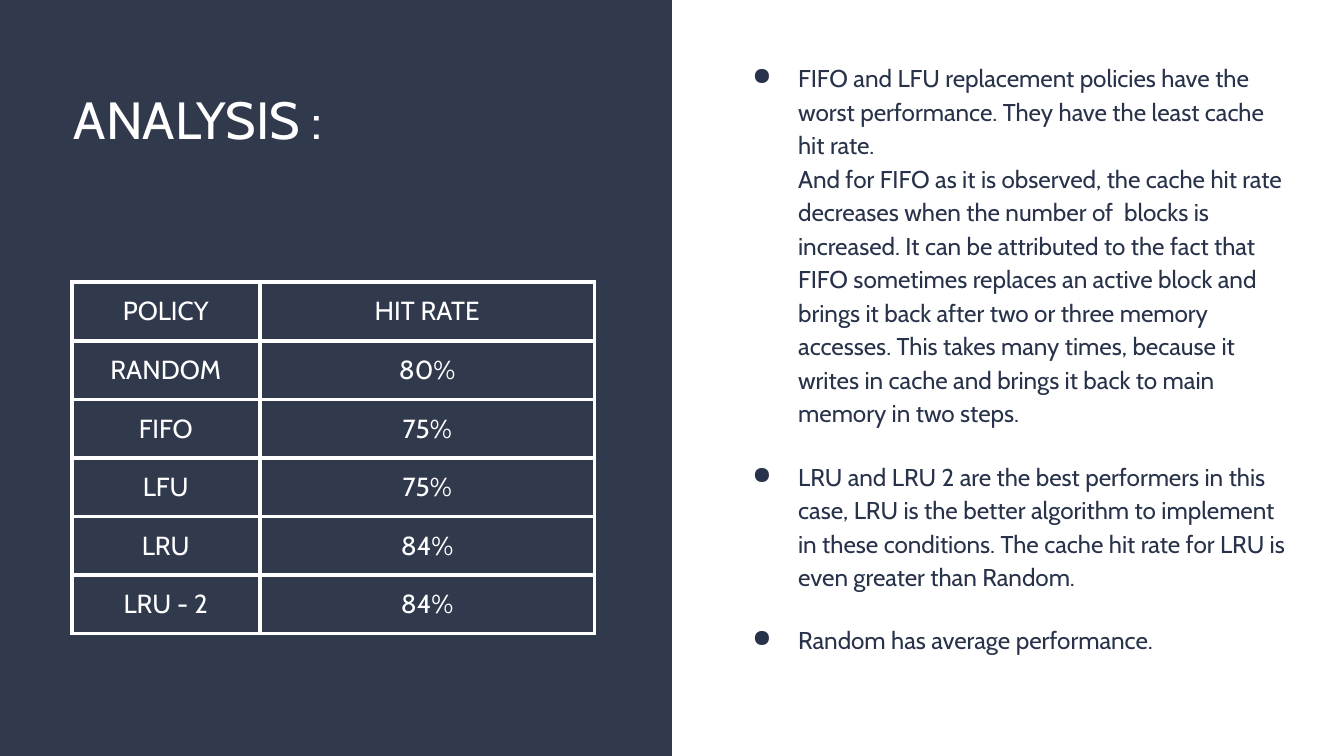
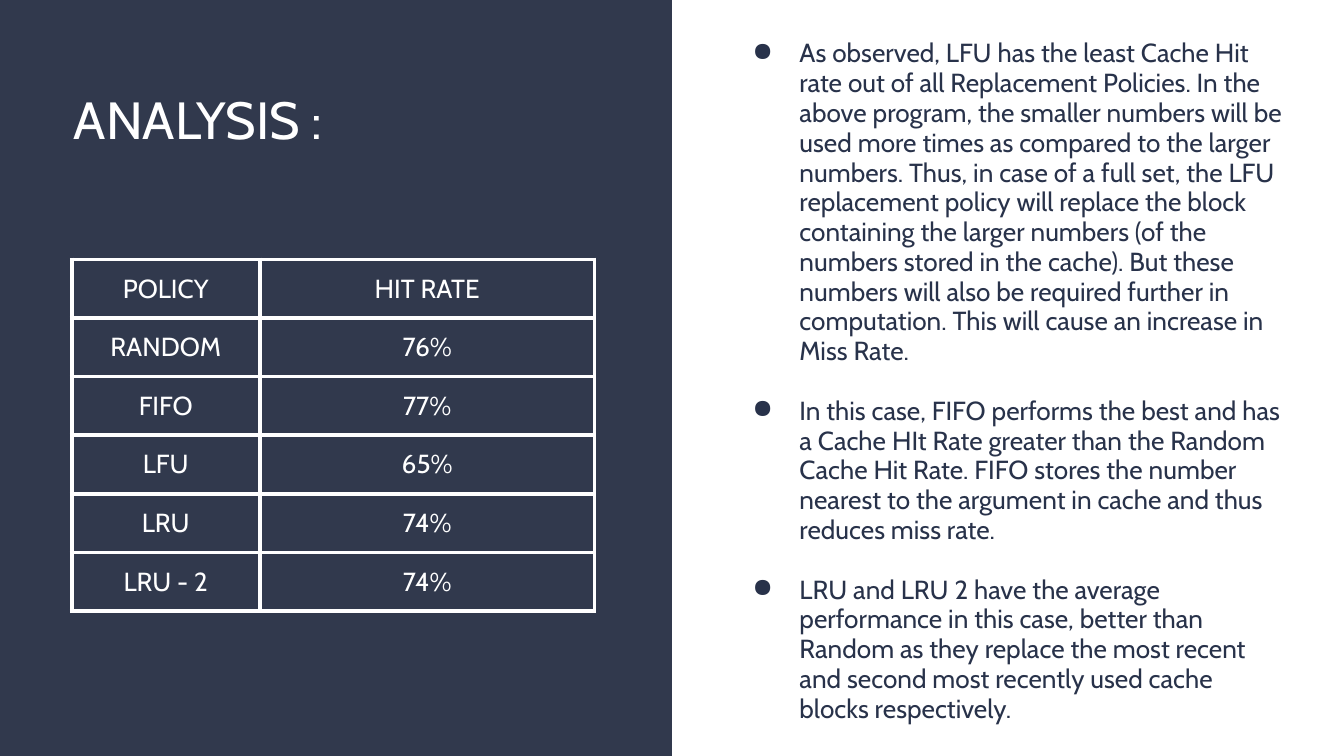
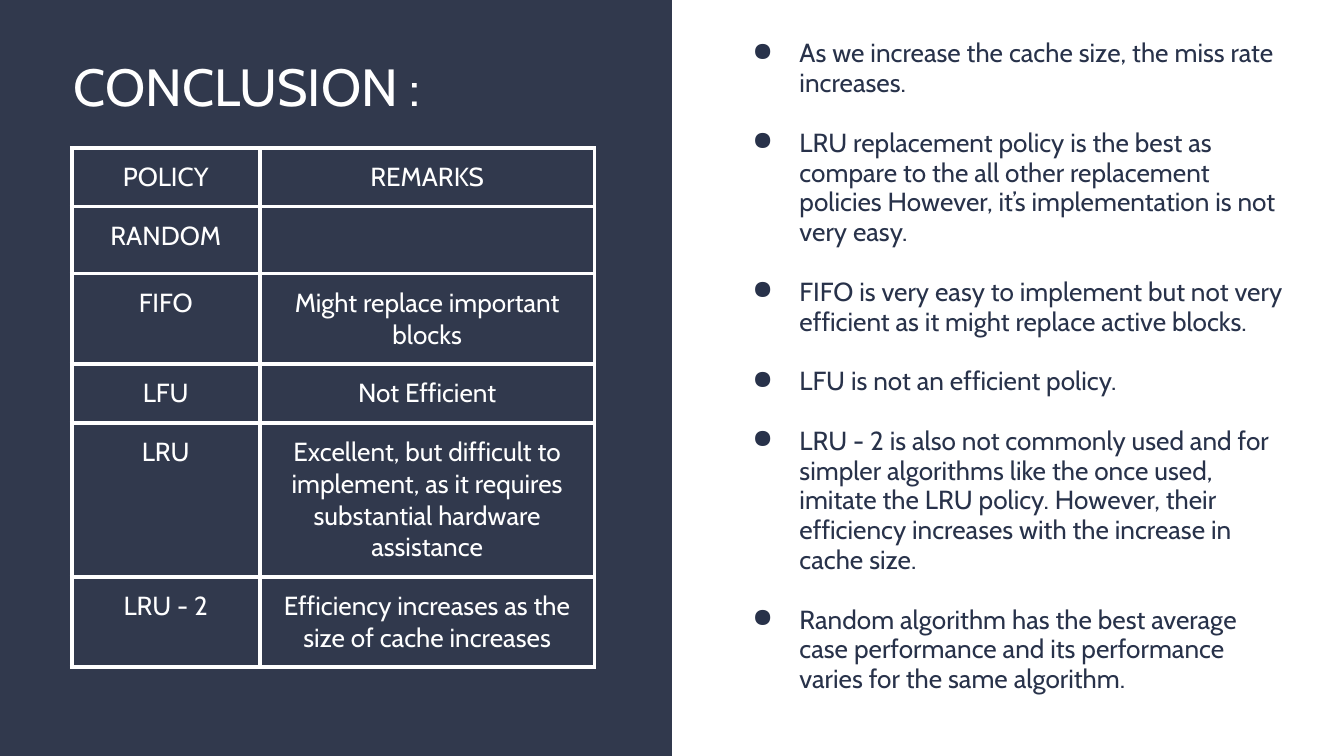
from dataclasses import dataclass

from lxml.etree import SubElement as Sub
from pptx import Presentation
from pptx.dml.color import RGBColor as RGB
from pptx.enum.shapes import MSO_SHAPE as Geo
from pptx.enum.text import MSO_ANCHOR as Anchor, MSO_AUTO_SIZE as Fit, PP_ALIGN as Align
from pptx.oxml import parse_xml
from pptx.oxml.ns import nsdecls, qn
from pptx.util import Pt


@dataclass
class Theme:
    face: str = "Cabin"
    navy: str = "31394D"
    ink: str = "28324A"
    white: str = "FFFFFF"
    head: float = 28
    cell: float = 14
    pad: float = 7.2
    edge: float = 2.25
    row: float = 31.4
    gap: float = 16


look = Theme()


def style(para, size, tint):
    for run in para.runs:
        run.font.name = look.face
        run.font.size = Pt(size)
        run.font.color.rgb = RGB.from_string(tint)


def inset(box):
    """Set equal margins on a text frame or a table cell."""
    box.margin_left = box.margin_right = Pt(look.pad)
    box.margin_top = box.margin_bottom = Pt(look.pad)


names = ["RANDOM", "FIFO", "LFU", "LRU", "LRU - 2"]
even = [look.row] * 6

pages = [
    dict(
        title="ANALYSIS :", title_top=39.6, title_high=197.3,
        table_top=151.2, rows=even, column="HIT RATE",
        values=["80%", "75%", "75%", "84%", "84%"],
        left=384.5, top=24.5, high=356.4, size=13, lead=1.15, hang=24.5,
        points=[
            "FIFO and LFU replacement policies have the worst performance. They have "
            "the least cache hit rate. \nAnd for FIFO as it is observed, the cache hit "
            "rate decreases when the number of  blocks is increased. It can be "
            "attributed to the fact that FIFO sometimes replaces an active block and "
            "brings it back after two or three memory accesses. This takes many times, "
            "because it writes in cache and brings it back to main memory in two steps.",
            "LRU and LRU 2 are the best performers in this case, LRU is the better "
            "algorithm to implement in these conditions. The cache hit rate for LRU is "
            "even greater than Random.",
            "Random has average performance.",
        ],
    ),
    dict(
        title="ANALYSIS :", title_top=39.6, title_high=55.4,
        table_top=139, rows=even, column="HIT RATE",
        values=["76%", "77%", "65%", "74%", "74%"],
        left=385.2, top=13.7, high=353.5, size=14, lead=0.95, hang=25.2,
        points=[
            "As observed, LFU has the least Cache Hit rate out of all Replacement "
            "Policies. In the above program, the smaller numbers will be used more "
            "times as compared to the larger numbers. Thus, in case of a full set, the "
            "LFU replacement policy will replace the block containing the larger "
            "numbers (of the numbers stored in the cache). But these numbers will also "
            "be required further in computation. This will cause an increase in Miss "
            "Rate.",
            "In this case, FIFO performs the best and has a Cache HIt Rate greater than "
            "the Random Cache Hit Rate. FIFO stores the number nearest to the argument "
            "in cache and thus reduces miss rate.",
            "LRU and LRU 2 have the average performance in this case, better than "
            "Random as they replace the most recent and second most recently used "
            "cache blocks respectively.",
        ],
    ),
    dict(
        title="CONCLUSION :", title_top=21.6, title_high=55.4,
        table_top=79.2, rows=[look.row, 34.5, 48.5, look.row, 82.5, 48.5],
        column="REMARKS",
        values=[
            "",
            "Might replace important blocks",
            "Not Efficient",
            "Excellent, but difficult to implement, as it requires substantial "
            "hardware assistance",
            "Efficiency increases as the size of cache increases",
        ],
        left=385.2, top=13.7, high=353.5, size=14, lead=0.95, hang=25.2,
        points=[
            "As we increase the cache size, the miss rate increases.",
            "LRU replacement policy is the best as compare to the all other "
            "replacement policies However, it’s implementation is not very easy.",
            "FIFO is very easy to implement but not very efficient as it might replace "
            "active blocks.",
            "LFU is not an efficient policy.",
            "LRU - 2 is also not commonly used and for simpler algorithms like the once "
            "used, imitate the LRU policy. However, their efficiency increases with "
            "the increase in cache size.",
            "Random algorithm has the best average case performance and its "
            "performance varies for the same algorithm.",
        ],
    ),
]

deck = Presentation()
deck.slide_width, deck.slide_height = Pt(720), Pt(405)
layout = deck.slide_layouts[5]

for num, page in enumerate(pages):
    slide = deck.slides.add_slide(layout)
    shapes = slide.shapes

    # The dark left half is drawn once and moved to the shared layout
    if num == 0:
        band = shapes.add_shape(Geo.RECTANGLE, 0, 0, Pt(360), Pt(405))
        band.shadow.inherit = False
        band.fill.solid()
        band.fill.fore_color.rgb = RGB.from_string(look.navy)
        band.line.fill.background()
        layout.shapes.element.insert(2, band.element)

    # Title
    title = shapes.title
    title.left, title.top = Pt(32.4), Pt(page["title_top"])
    title.width, title.height = Pt(291.6), Pt(page["title_high"])
    frame = title.text_frame
    frame.text = page["title"]
    frame.word_wrap = True
    frame.auto_size = Fit.NONE
    frame.vertical_anchor = Anchor.TOP
    inset(frame)
    frame.paragraphs[0].alignment = Align.LEFT
    style(frame.paragraphs[0], look.head, look.white)

    # Bullet points
    body = shapes.add_textbox(Pt(page["left"]), Pt(page["top"]), Pt(311), Pt(page["high"]))
    frame = body.text_frame
    frame.word_wrap = True
    inset(frame)
    for i, point in enumerate(page["points"]):
        para = frame.add_paragraph() if i else frame.paragraphs[0]
        para.text = point
        para.line_spacing = page["lead"]
        para.space_before = Pt(look.gap if i else 0)
        props = para._p.get_or_add_pPr()
        props.set("marL", str(Pt(36)))
        props.set("indent", str(-Pt(page["hang"])))
        Sub(Sub(props, qn("a:buClr")), qn("a:srgbClr")).set("val", look.ink)
        Sub(props, qn("a:buChar")).set("char", "●")
        style(para, page["size"], look.ink)

    # Policy table
    grid = [("POLICY", page["column"]), *zip(names, page["values"])]
    table = shapes.add_table(len(grid), 2, Pt(38.4), Pt(page["table_top"]),
                             Pt(280.1), Pt(sum(page["rows"]))).table
    table.first_row = table.horz_banding = False
    table.columns[0].width, table.columns[1].width = Pt(100.8), Pt(179.3)
    for r, words in enumerate(grid):
        table.rows[r].height = Pt(page["rows"][r])
        for c, word in enumerate(words):
            cell = table.cell(r, c)
            inset(cell)
            cell.fill.background()
            para = cell.text_frame.paragraphs[0]
            para.alignment = Align.CENTER
            para.add_run().text = word
            style(para, look.cell, look.white)
            props = cell._tc.get_or_add_tcPr()
            for k, side in enumerate("LRTB"):
                props.insert(k, parse_xml(
                    f'<a:ln{side} {nsdecls("a")} w="{Pt(look.edge)}"><a:solidFill>'
                    f'<a:srgbClr val="{look.white}"/></a:solidFill></a:ln{side}>'))

deck.save("out.pptx")
